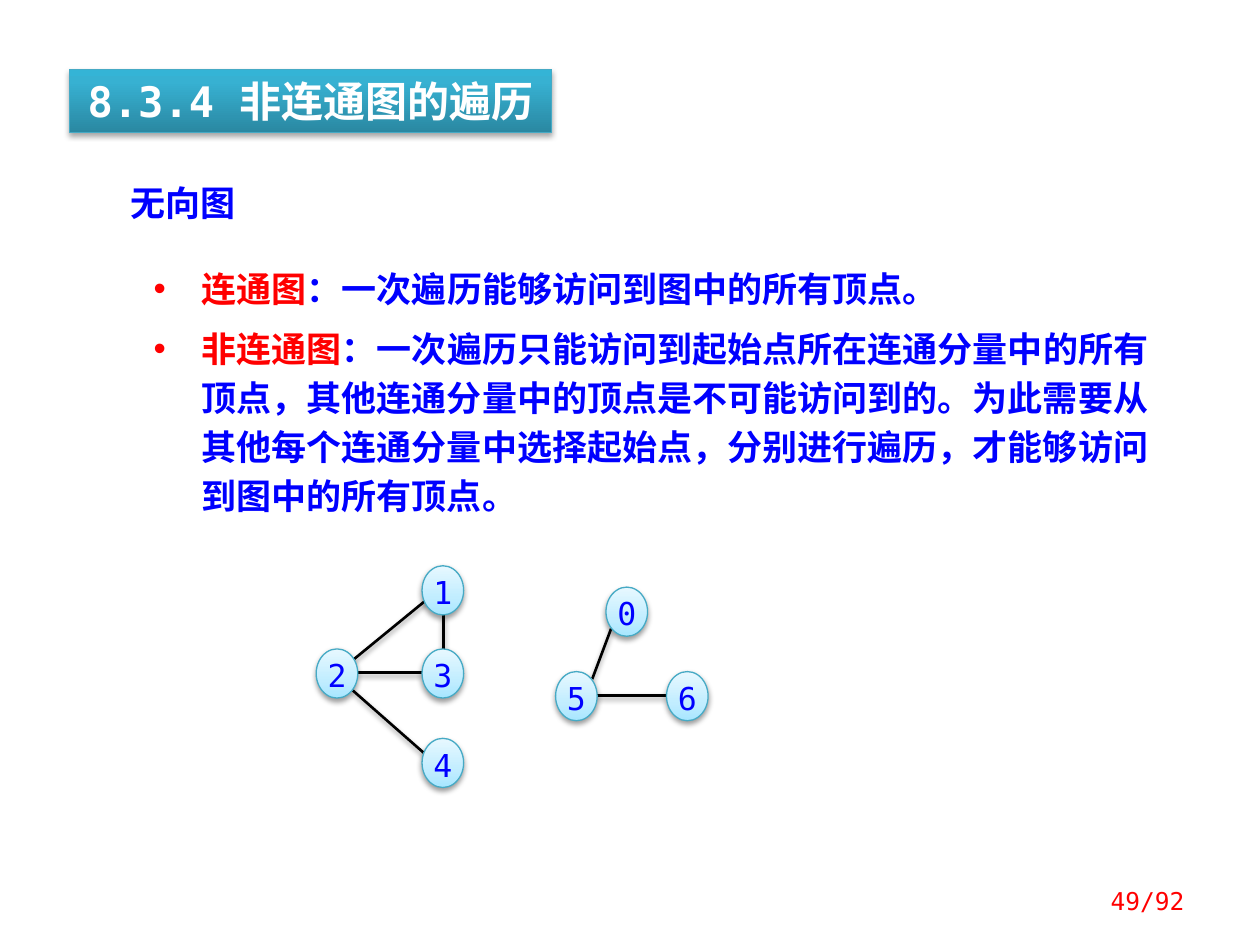
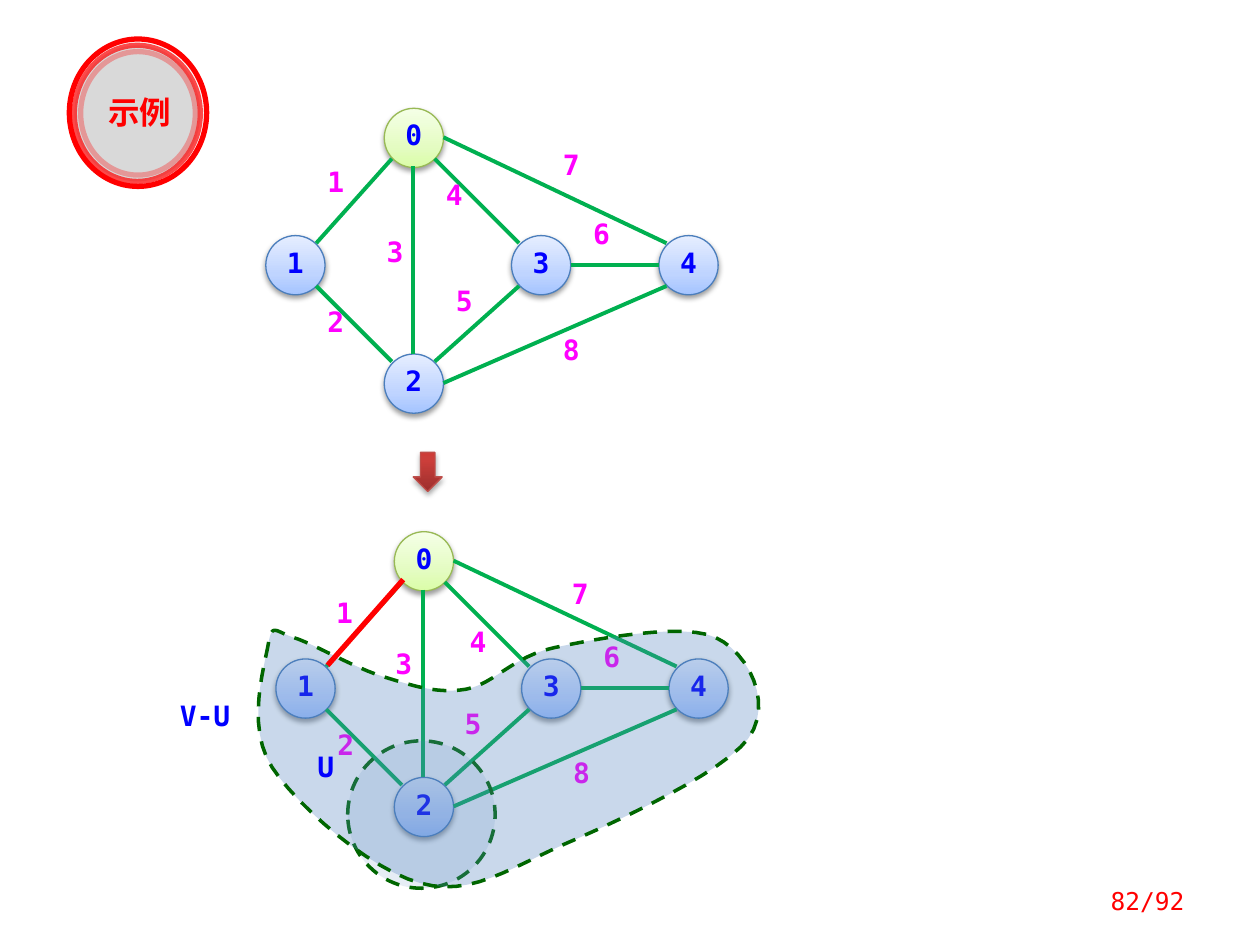
from lxml import etree
from pptx import Presentation
from pptx.dml.color import RGBColor
from pptx.enum.dml import MSO_LINE
from pptx.enum.shapes import MSO_CONNECTOR, MSO_SHAPE
from pptx.enum.text import MSO_ANCHOR, PP_ALIGN
from pptx.oxml.ns import qn
from pptx.util import Pt

RECT, OVAL, ARROW = MSO_SHAPE.RECTANGLE, MSO_SHAPE.OVAL, MSO_SHAPE.DOWN_ARROW
LINE, DASH = MSO_CONNECTOR.STRAIGHT, MSO_LINE.DASH
LEFT, MID, RIGHT = PP_ALIGN.LEFT, PP_ALIGN.CENTER, PP_ALIGN.RIGHT
TOP, CENTRE = MSO_ANCHOR.TOP, MSO_ANCHOR.MIDDLE
MONO, HAN = "DejaVu Sans Mono", "Noto Sans CJK SC"
PX = 9144  # 100 px to the inch

INK = {
    "blue": "0000FF", "red": "FF0000", "pink": "FF00FF", "white": "FFFFFF",
    "black": "000000", "green": "00B050", "forest": "006600", "zone": "4F81BD",
    "teal": "46AAC5", "lime": "98B955", "navy": "4B7EBC", "brick": "BF4C48",
    "pale": "F8F8F8", "grey": "D9D9D9",
}
# Gradients run from bottom to top: (percent, colour)
GRAD = {
    "banner": [(0, "2A88A2"), (80, "37B1D2"), (100, "34B4D6")],
    "aqua": [(0, "A7E6FF"), (35, "C1EDFF"), (100, "E7F8FF")],
    "leaf": [(0, "DAFDA7"), (35, "E4FCC2"), (100, "F5FFE7")],
    "sky": [(0, "A4C4FF"), (35, "BFD4FF"), (100, "E6EEFF")],
    "rust": [(0, "9C2F2D"), (80, "CB3E3A"), (100, "CE3B37")],
}


def paint(shape, fill=None, edge=None, width=0.75, shade=0, clear=100, faint=100):
    """Fill, line and shadow; clear and faint are fill and line opacity."""
    props = shape._element.spPr
    if fill in GRAD:
        shape.fill.gradient()
        shape.fill.gradient_angle = 90
        stops = props.find(qn("a:gradFill")).find(qn("a:gsLst"))
        for old in list(stops):
            stops.remove(old)
        for pos, tint in GRAD[fill]:
            stop = etree.SubElement(stops, qn("a:gs"), pos=str(pos * 1000))
            etree.SubElement(stop, qn("a:srgbClr"), val=tint)
    elif fill:
        shape.fill.solid()
        shape.fill.fore_color.rgb = RGBColor.from_string(INK[fill])
    if edge:
        shape.line.color.rgb = RGBColor.from_string(INK[edge])
        shape.line.width = Pt(width)
    else:
        shape.line.fill.background()
    for host, part in ((props, clear), (props.find(qn("a:ln")), faint)):
        if part < 100:
            tone = host.find(qn("a:solidFill"))[0]
            etree.SubElement(tone, qn("a:alpha"), val=str(part * 1000))
    effect = etree.SubElement(props, qn("a:effectLst"))
    if shade:
        cast = etree.SubElement(effect, qn("a:outerShdw"), blurRad="39370", dist="22860",
                                dir="5400000", rotWithShape="0")
        tone = etree.SubElement(cast, qn("a:srgbClr"), val=INK["black"])
        etree.SubElement(tone, qn("a:alpha"), val=str(shade * 1000))


def write(shape, text, size, tint, bold=True, face=MONO, align=LEFT,
          anchor=TOP, inset=None, gap=None):
    """One paragraph of text in one style."""
    frame = shape.text_frame
    frame.word_wrap = False
    frame.vertical_anchor = anchor
    if inset is not None:
        frame.margin_left = frame.margin_right = inset * PX
        frame.margin_top = frame.margin_bottom = inset * PX
    frame.text = text
    para = frame.paragraphs[0]
    para.alignment = align
    if gap:
        para.line_spacing = gap
    para.font.size, para.font.bold, para.font.name = Pt(size), bold, face
    para.font.color.rgb = RGBColor.from_string(INK[tint])
    etree.SubElement(para.font._element, qn("a:ea"), typeface=HAN)


deck = Presentation()
deck.slide_width, deck.slide_height = 1000 * PX, 750 * PX
first = deck.slides.add_slide(deck.slide_layouts[5])
second = deck.slides.add_slide(deck.slide_layouts[6])

# Page numbers
for slide, page in ((first, "49/92"), (second, "82/92")):
    foot = slide.shapes.add_textbox(828 * PX, 695 * PX, 122 * PX, 40 * PX)
    write(foot, page, 14, "red", bold=False, align=RIGHT, anchor=CENTRE)

# Slide 1: title banner
title = first.shapes.title
title.left, title.top, title.width, title.height = 55 * PX, 55 * PX, 383 * PX, 50 * PX
paint(title, "banner", "teal", shade=35)
write(title, "8.3.4 非连通图的遍历", 24, "white", align=MID, anchor=CENTRE)

# Slide 1: heading and definitions
head = first.shapes.add_textbox(94 * PX, 139 * PX, 133 * PX, 44 * PX)
write(head, "无向图", 20, "blue", face=HAN)

body = first.shapes.add_shape(RECT, 102 * PX, 195 * PX, 828 * PX, 229 * PX)
paint(body, "white")
frame = body.text_frame
frame.word_wrap, frame.vertical_anchor = True, TOP
frame.margin_left, frame.margin_right = 20 * PX, 10 * PX
frame.margin_top = frame.margin_bottom = 12 * PX
terms = [
    ("连通图", "：一次遍历能够访问到图中的所有顶点。"),
    ("非连通图", "：一次遍历只能访问到起始点所在连通分量中的所有顶点，其他连通分量中的顶点是"
     "不可能访问到的。为此需要从其他每个连通分量中选择起始点，分别进行遍历，才能够访问到图中的所有顶点。"),
]
for i, term in enumerate(terms):
    para = frame.add_paragraph() if i else frame.paragraphs[0]
    para.alignment, para.line_spacing = LEFT, Pt(28)
    if i:
        para.space_before = Pt(6)
    rule = para._p.get_or_add_pPr()
    rule.set("marL", str(38 * PX))
    rule.set("indent", str(-38 * PX))
    etree.SubElement(rule, qn("a:buFont"), typeface="Arial")
    etree.SubElement(rule, qn("a:buChar"), char="•")
    para.font.size, para.font.bold, para.font.name = Pt(20), True, MONO
    etree.SubElement(para.font._element, qn("a:ea"), typeface=HAN)
    for words, tint in zip(term, ("red", "blue")):
        run = para.add_run()
        run.text = words
        run.font.color.rgb = RGBColor.from_string(INK[tint])

# Slide 1: unconnected graph, edges under nodes
edges = [(280, 548, 338, 599), (341, 474, 275, 528), (284, 534, 335, 534),
         (352, 488, 352, 515), (485, 499, 470, 539), (474, 552, 529, 552)]
for x1, y1, x2, y2 in edges:
    edge = first.shapes.add_connector(LINE, x1 * PX, y1 * PX, x2 * PX, y2 * PX)
    paint(edge, edge="black", width=1.5, shade=38)
spots = [(481, 466), (335, 449), (251, 515), (335, 515), (335, 586), (441, 533), (529, 533)]
for name, (x, y) in enumerate(spots):
    node = first.shapes.add_shape(OVAL, x * PX, y * PX, 33 * PX, 39 * PX)
    paint(node, "aqua", "teal", shade=38)
    write(node, str(name), 18, "blue", bold=False, align=MID, inset=0)

# Slide 2: the same weighted graph twice, the second one shifted
hubs = [(328, 109), (234, 210), (328, 304), (429, 210), (546, 210)]
site = {"N": (0, -23), "S": (0, 23), "E": (24, 0), "W": (-23, 0),
        "NW": (-17, -17), "NE": (17, -17), "SW": (-17, 17), "SE": (17, 17)}
links = [(0, "SW", 1, "NE"), (1, "SE", 2, "NW"), (0, "S", 2, "N"), (0, "SE", 3, "NW"),
         (3, "SW", 2, "NE"), (3, "E", 4, "W"), (0, "E", 4, "NW"), (2, "E", 4, "SW")]
costs = [
    [(250, 131), (250, 242), (297, 186), (344, 141),
     (352, 225), (461, 172), (437, 117), (437, 264)],
    [(257, 473), (258, 578), (304, 513), (363, 496),
     (359, 561), (469, 508), (444, 458), (445, 600)],
]
for (dx, dy), marks in zip([(0, 0), (8, 336)], costs):
    for name, (x, y) in enumerate(hubs):
        node = second.shapes.add_shape(OVAL, (x + dx - 23) * PX, (y + dy - 23) * PX,
                                       47 * PX, 47 * PX)
        paint(node, "sky" if name else "leaf", "navy" if name else "lime", shade=38)
        write(node, str(name), 16, "blue", align=MID, anchor=CENTRE, gap=0.8)
    for a, out, b, into in links:
        ends = [(hubs[hub][0] + site[way][0] + dx, hubs[hub][1] + site[way][1] + dy)
                for hub, way in ((a, out), (b, into))]
        edge = second.shapes.add_connector(LINE, *(n * PX for end in ends for n in end))
        paint(edge, edge="green", width=2.25)
    for cost, (x, y) in enumerate(marks, 1):
        label = second.shapes.add_textbox(x * PX, y * PX, 47 * PX, 32 * PX)
        write(label, str(cost), 16, "pink", gap=0.8)

# Slide 2: step arrow
step = second.shapes.add_shape(ARROW, 328 * PX, 359 * PX, 23 * PX, 31 * PX)
paint(step, "rust", "brick", shade=35)

# Slide 2: vertex sets U and V-U
ring = second.shapes.add_shape(OVAL, 276 * PX, 588 * PX, 117 * PX, 117 * PX)
paint(ring, "zone", "forest", 2, clear=14)
ring.line.dash_style = DASH

# Cubic curve: start, then two handles and an end for each piece
curve = [(213, 511),
         (210, 529), (195, 577), (216, 609), (236, 640), (295, 691), (334, 701),
         (373, 712), (405, 689), (448, 670), (492, 651), (574, 613), (594, 586),
         (614, 558), (594, 518), (568, 506), (543, 494), (473, 507), (440, 514),
         (407, 521), (392, 543), (370, 547), (347, 551), (327, 544), (304, 537),
         (281, 530), (247, 510), (233, 506), (218, 501), (216, 494), (213, 511)]
points = []
for i in range(0, len(curve) - 1, 3):
    for t in (n / 12 for n in range(1, 13)):
        pull = ((1 - t) ** 3, 3 * t * (1 - t) ** 2, 3 * t * t * (1 - t), t ** 3)
        points.append([sum(k * p[axis] for k, p in zip(pull, curve[i:i + 4])) * PX
                       for axis in (0, 1)])
pen = second.shapes.build_freeform(curve[0][0] * PX, curve[0][1] * PX)
pen.add_line_segments(points, close=True)
blob = pen.convert_to_shape()
paint(blob, "zone", "forest", 2, clear=30)
blob.line.dash_style = DASH

for name, x, y, w in (("U", 242, 595, 39), ("V-U", 133, 555, 70)):
    label = second.shapes.add_textbox(x * PX, y * PX, w * PX, 32 * PX)
    write(label, name, 16, "blue", gap=0.8)

# Slide 2: chosen edge
pick = second.shapes.add_connector(LINE, 320 * PX, 460 * PX, 260 * PX, 528 * PX)
paint(pick, edge="red", width=3)

# Slide 2: example badge
rings = [(55, 31, 109, 117, "pale", 100), (59, 36, 100, 108, "grey", 70),
         (64, 41, 91, 98, None, 30)]
for x, y, w, h, fill, faint in rings:
    disc = second.shapes.add_shape(OVAL, x * PX, y * PX, w * PX, h * PX)
    disc.fill.background()
    paint(disc, fill, "red", 3, faint=faint)
badge = second.shapes.add_textbox(71 * PX, 75 * PX, 80 * PX, 34 * PX)
write(badge, "示例", 18, "red", face=HAN, align=MID, gap=0.8)

deck.save("out.pptx")
